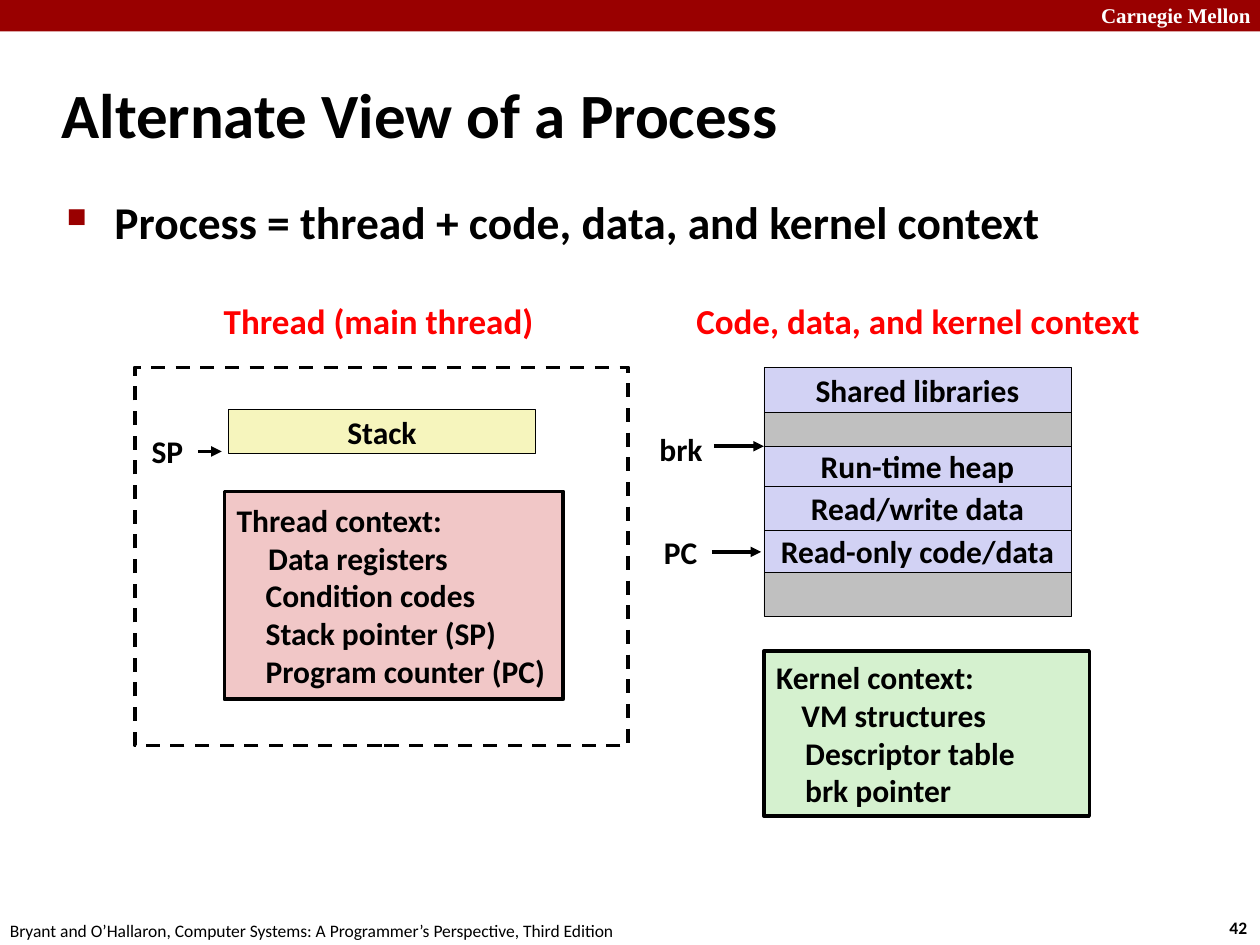
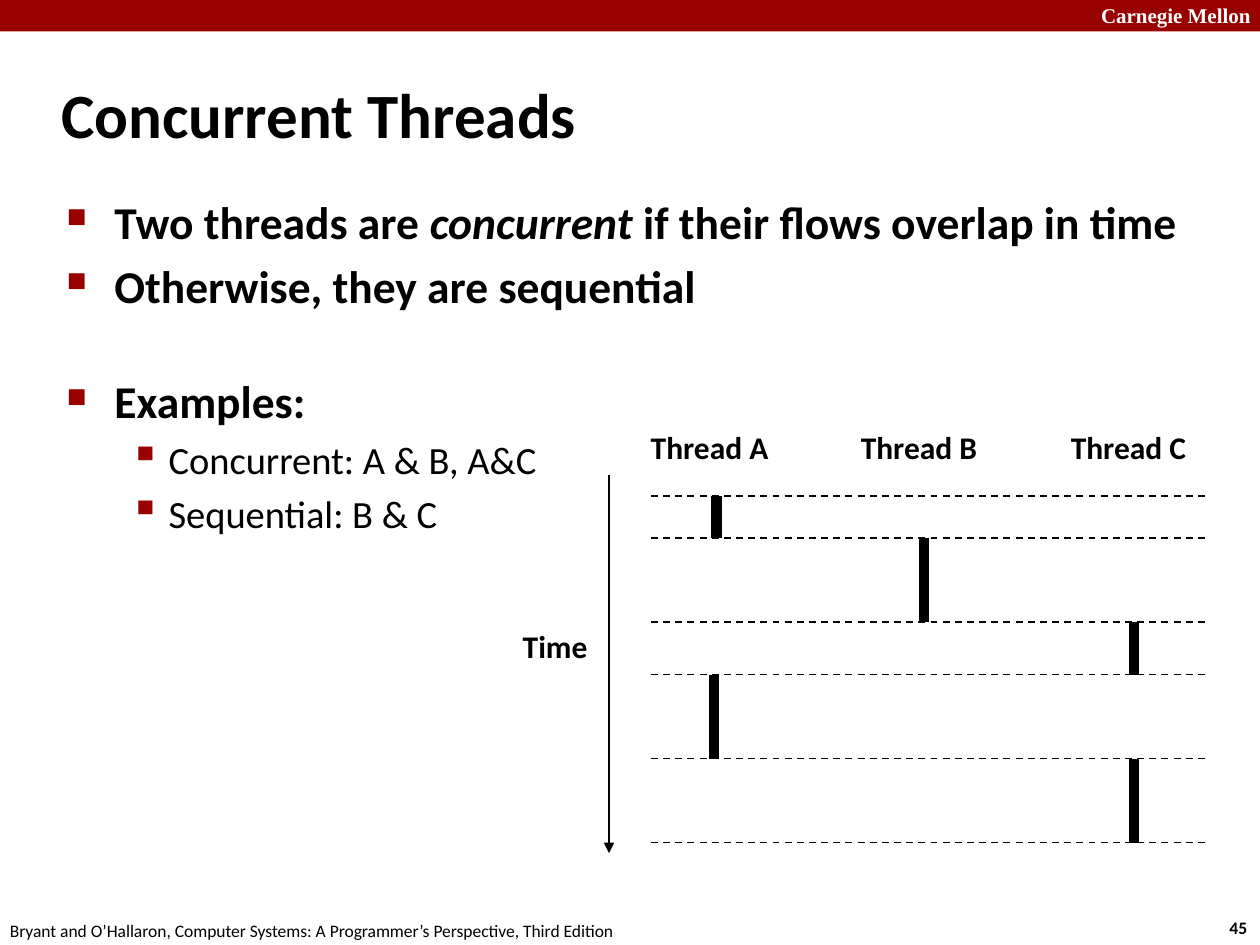
from dataclasses import dataclass
from itertools import accumulate
from typing import Any, NamedTuple, Optional

from lxml import etree
from pptx import Presentation
from pptx import util as u
from pptx.dml.color import RGBColor
from pptx.enum import dml, shapes, text
from pptx.oxml import ns

SLIDE_WIDTH, SLIDE_HEIGHT = u.Inches(10), u.Inches(7.5)
COLUMNS, ROWS = 120, 90
BLANK_LAYOUT = 6

BLACK = RGBColor(0x00, 0x00, 0x00)
WHITE = RGBColor(0xFF, 0xFF, 0xFF)
DARK_RED = RGBColor(0x99, 0x00, 0x00)
RED = RGBColor(0xFF, 0x00, 0x00)
LAVENDER = RGBColor(0xD2, 0xD2, 0xF4)
GRAY = RGBColor(0xC0, 0xC0, 0xC0)
PINK = RGBColor(0xF1, 0xC7, 0xC7)
YELLOW = RGBColor(0xF6, 0xF5, 0xBD)
GREEN = RGBColor(0xD5, 0xF1, 0xCF)

LEFT, CENTER = text.PP_ALIGN.LEFT, text.PP_ALIGN.CENTER
TOP, MIDDLE = text.MSO_ANCHOR.TOP, text.MSO_ANCHOR.MIDDLE
DASH = dml.MSO_LINE.DASH


class Area(NamedTuple):
    """A place on the slide, in grid columns and rows."""
    column: float
    row: float
    columns: float
    rows: float


class TextStyle(NamedTuple):
    size: float = 18
    bold: bool = True
    color: RGBColor = BLACK
    name: str = "Calibri"
    align: Any = LEFT
    anchor: Any = MIDDLE


class Line(NamedTuple):
    words: str
    indent: float = 0


@dataclass(frozen=True)
class Label:
    words: str
    area: Area
    style: TextStyle


@dataclass(frozen=True)
class Box:
    area: Area
    fill: Optional[RGBColor] = None
    border: float = 0.25
    dash: Any = None
    lines: tuple[Line, ...] = ()
    align: Any = CENTER


@dataclass(frozen=True)
class Stroke:
    start: tuple[float, float]
    end: tuple[float, float]
    width: float = 2
    dash: Any = None
    arrow: bool = False


@dataclass(frozen=True)
class Bullet:
    """Every second run is italic."""
    runs: tuple[str, ...]
    level: int = 0
    space_before: float = 0


class BulletStyle(NamedTuple):
    character: str
    percent: int
    margin: float
    hanging: float
    text_style: TextStyle


class Burst(NamedTuple):
    """A stretch of time in which one thread runs."""
    column: float
    rows: float


TITLE = TextStyle(36)
TITLE_AREA = Area(4.68, 5.76, 99.6, 10)
BODY_AREA = Area(5.16, 17.88, 110, 65.28)
BODY_LABEL = TextStyle(anchor=TOP)
POINTER_LABEL = TextStyle(align=CENTER)
HEADING = TextStyle(20, color=RED, align=CENTER)
BAND = Box(Area(0, 0, COLUMNS, 3), DARK_RED, border=0)
MASTER_LABELS = (
    Label("Carnegie Mellon", Area(103.68, -0.36, 17.16, 3.6),
          TextStyle(12, color=WHITE, name="Times New Roman", anchor=TOP)),
    Label("Bryant and O’Hallaron, Computer Systems: A Programmer’s Perspective, Third Edition",
          Area(-0.24, 87, 61, 3.24), TextStyle(10, False, anchor=TOP)),
)
BULLETS = (
    BulletStyle("■", 60, 0.38, 0.38, TextStyle(26)),
    BulletStyle("▪", 110, 0.81, 0.31, TextStyle(22, False)),
)


def across(columns: float) -> int:
    return round(SLIDE_WIDTH * columns / COLUMNS)


def down(rows: float) -> int:
    return round(SLIDE_HEIGHT * rows / ROWS)


def place(area: Area) -> tuple[int, int, int, int]:
    return across(area.column), down(area.row), across(area.columns), down(area.rows)


def apply(target: Any, values: dict[str, Any]) -> None:
    for attribute, value in values.items():
        setattr(target, attribute, value)


def set_font(font: Any, style: TextStyle) -> None:
    apply(font, {"name": style.name, "size": u.Pt(style.size), "bold": style.bold})
    font.color.rgb = style.color


def add_property(parent: Any, tag: str, **attributes: str) -> Any:
    element = etree.SubElement(parent, ns.qn(tag))
    for key, value in attributes.items():
        element.set(key, value)
    return element


def write_lines(shape: Any, lines: tuple[Line, ...], style: TextStyle, wrap: bool = False) -> None:
    frame = shape.text_frame
    apply(frame, {"word_wrap": wrap, "vertical_anchor": style.anchor})
    for index, line in enumerate(lines):
        paragraph = frame.paragraphs[0] if index == 0 else frame.add_paragraph()
        paragraph.alignment = style.align
        if line.indent:
            paragraph._p.get_or_add_pPr().set("marL", str(u.Inches(line.indent)))
        run = paragraph.add_run()
        run.text = line.words
        set_font(run.font, style)


def add_label(slide: Any, label: Label) -> None:
    shape = slide.shapes.add_textbox(*place(label.area))
    write_lines(shape, (Line(label.words),), label.style)


def add_box(slide: Any, box: Box) -> None:
    shape = slide.shapes.add_shape(shapes.MSO_SHAPE.RECTANGLE, *place(box.area))
    shape.shadow.inherit = False
    if box.fill is None:
        shape.fill.background()
    else:
        shape.fill.solid()
        shape.fill.fore_color.rgb = box.fill
    if box.border:
        shape.line.color.rgb = BLACK
        apply(shape.line, {"width": u.Pt(box.border), "dash_style": box.dash})
    else:
        shape.line.fill.background()
    write_lines(shape, box.lines, TextStyle(align=box.align))


def add_stroke(slide: Any, stroke: Stroke) -> None:
    (x1, y1), (x2, y2) = stroke.start, stroke.end
    connector = slide.shapes.add_connector(
        shapes.MSO_CONNECTOR.STRAIGHT, across(x1), down(y1), across(x2), down(y2))
    connector.line.color.rgb = BLACK
    apply(connector.line, {"width": u.Pt(stroke.width), "dash_style": stroke.dash})
    if stroke.arrow:
        add_property(connector.line._get_or_add_ln(), "a:tailEnd", type="triangle")
    add_property(connector._element.spPr, "a:effectLst")


def add_bullets(slide: Any, bullets: tuple[Bullet, ...]) -> None:
    frame = slide.shapes.add_textbox(*place(BODY_AREA)).text_frame
    frame.word_wrap = True
    for index, bullet in enumerate(bullets):
        style = BULLETS[bullet.level]
        paragraph = frame.paragraphs[0] if index == 0 else frame.add_paragraph()
        apply(paragraph, {"level": bullet.level, "space_before": u.Pt(bullet.space_before)})
        properties = paragraph._p.get_or_add_pPr()
        properties.set("marL", str(u.Inches(style.margin)))
        properties.set("indent", str(-u.Inches(style.hanging)))
        color = add_property(properties, "a:buClr")
        add_property(color, "a:srgbClr", val=str(DARK_RED))
        add_property(properties, "a:buSzPct", val=str(style.percent * 1000))
        add_property(properties, "a:buChar", char=style.character)
        for position, words in enumerate(bullet.runs):
            run = paragraph.add_run()
            run.text = words
            set_font(run.font, style.text_style)
            run.font.italic = position % 2 == 1


def add_slide(presentation: Any, title: str, number: int, bullets: tuple[Bullet, ...]) -> Any:
    slide = presentation.slides.add_slide(presentation.slide_layouts[BLANK_LAYOUT])
    add_box(slide, BAND)
    page = Label(str(number), Area(115.92, 86.76, 4.44, 3.24), TextStyle(10, anchor=TOP))
    for label in (*MASTER_LABELS, page, Label(title, TITLE_AREA, TITLE)):
        add_label(slide, label)
    add_bullets(slide, bullets)
    return slide


def build_process_slide(presentation: Any) -> None:
    slide = add_slide(presentation, "Alternate View of a Process", 42,
                      (Bullet(("Process = thread + code, data, and kernel context",)),))
    memory_left, memory_top, memory_width = 72.75, 35, 29.25
    segments = (("Shared libraries", 4.25), ("", 3.25), ("Run-time heap", 3.8),
                ("Read/write data", 4.2), ("Read-only code/data", 4), ("", 4.2))
    tops = accumulate((rows for _, rows in segments), initial=memory_top)
    for (words, rows), top in zip(segments, tops):
        area = Area(memory_left, top, memory_width, rows)
        lines = (Line(words),) if words else ()
        add_box(slide, Box(area, LAVENDER if words else GRAY, lines=lines))

    thread_context = (Line("Thread context:"), Line("Data registers", 0.25),
                      Line("Condition codes", 0.23), Line("Stack pointer (SP)", 0.23),
                      Line("Program counter (PC)", 0.23))
    kernel_context = (Line("Kernel context:"), Line("VM structures", 0.2),
                      Line("Descriptor table", 0.23), Line("brk pointer", 0.23))
    for box in (
        Box(Area(12.84, memory_top, 47, 36), border=2, dash=DASH),
        Box(Area(21.75, 39, memory_width, 4.2), YELLOW, lines=(Line("Stack"),)),
        Box(Area(21.36, 46.8, 32.28, 19.8), PINK, 2, lines=thread_context, align=LEFT),
        Box(Area(memory_left, 62, 31, 15.72), GREEN, 2, lines=kernel_context, align=LEFT),
    ):
        add_box(slide, box)

    for label in (
        Label("Thread (main thread)", Area(19.92, 27.84, 32.28, 5.28), HEADING),
        Label("Code, data, and kernel context", Area(64.44, 27.84, 46, 5.28), HEADING),
        Label("SP", Area(13.2, 40.56, 5.5, 4.8), POINTER_LABEL),
        Label("brk", Area(61.56, 40.32, 6.6, 4.8), POINTER_LABEL),
        Label("PC", Area(62, 50.16, 5.64, 4.8), POINTER_LABEL),
    ):
        add_label(slide, label)
    for start, end, row in ((18.84, 21.12, 43), (68, 72.75, 42.5), (67.8, 72.5, 52.56)):
        add_stroke(slide, Stroke((start, row), (end, row), arrow=True))


def build_threads_slide(presentation: Any) -> None:
    slide = add_slide(presentation, "Concurrent Threads", 45, (
        Bullet(("Two threads are ", "concurrent", " if their flows overlap in time")),
        Bullet(("Otherwise, they are sequential",), space_before=5.2),
        Bullet(("Examples:",), space_before=35),
        Bullet(("Concurrent: A & B, A&C",), 1, 4.4),
        Bullet(("Sequential: B & C",), 1, 4.4),
    ))
    for index, letter in enumerate("ABC"):
        area = Area(60.8 + 20 * index, 40.2, 13.9, 4.8)
        add_label(slide, Label(f"Thread {letter}", area, BODY_LABEL))
    add_label(slide, Label("Time", Area(48.6, 59.16, 8.64, 4.8), BODY_LABEL))
    add_stroke(slide, Stroke((58, 45.25), (58, 81.25), width=1, arrow=True))

    bursts = (Burst(68.25, 4), Burst(88, 8), Burst(108, 5), Burst(68, 8), Burst(108, 8))
    switches = list(accumulate((burst.rows for burst in bursts), initial=47.25))
    for burst, start, end in zip(bursts, switches, switches[1:]):
        add_stroke(slide, Stroke((burst.column, start), (burst.column, end), width=6))
    for row in switches:
        add_stroke(slide, Stroke((62, row), (115, row), width=1, dash=DASH))


def main() -> None:
    presentation = Presentation()
    apply(presentation, {"slide_width": SLIDE_WIDTH, "slide_height": SLIDE_HEIGHT})
    build_process_slide(presentation)
    build_threads_slide(presentation)
    presentation.save("out.pptx")


if __name__ == "__main__":
    main()
